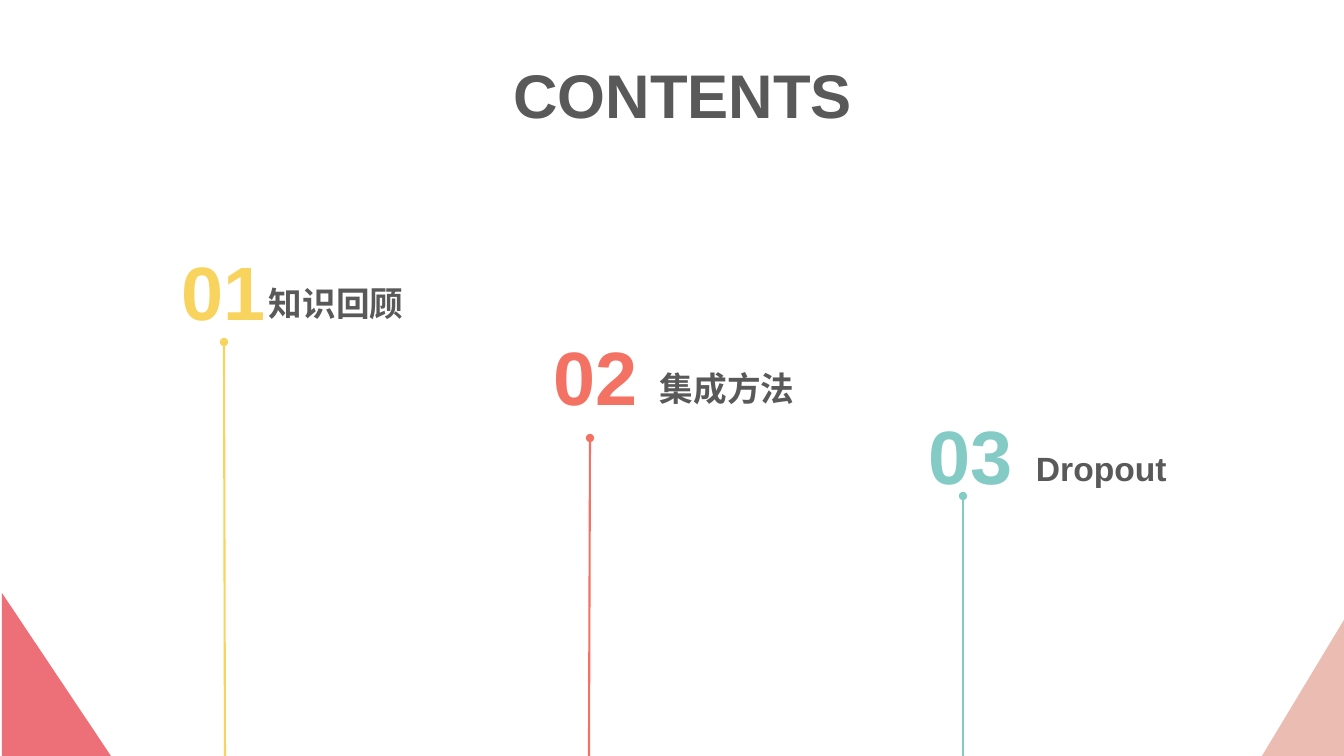
from dataclasses import dataclass

from lxml.etree import SubElement
from pptx import Presentation
from pptx.dml.color import RGBColor
from pptx.enum.shapes import MSO_CONNECTOR, MSO_SHAPE
from pptx.enum.text import MSO_ANCHOR, MSO_AUTO_SIZE, PP_ALIGN
from pptx.oxml.ns import qn
from pptx.util import Emu, Pt

SCALE = 12192000 / 1344  # EMU per px


@dataclass(frozen=True)
class Theme:
    text: str = "595959"
    yellow: str = "F8D35E"
    coral: str = "F47264"
    teal: str = "84CBC5"
    rose: str = "ED6F77"
    blush: str = "EABCB2"
    latin: str = "Arial"
    cjk: str = "Noto Sans CJK SC"
    title: int = 44
    number: int = 54
    label: int = 24
    line: float = 1.5


THEME = Theme()


def px(*values):
    return [Emu(round(value * SCALE)) for value in values]


def color(code):
    return RGBColor.from_string(code)


def style(frame, size, code, font, align):
    """Format the single paragraph of a text frame."""
    frame.auto_size = MSO_AUTO_SIZE.SHAPE_TO_FIT_TEXT
    para = frame.paragraphs[0]
    para.alignment = align
    face = para.runs[0].font
    face.size, face.bold, face.name = Pt(size), True, font
    face.color.rgb = color(code)
    east = SubElement(para.runs[0]._r.get_or_add_rPr(), qn("a:ea"))
    east.set("typeface", THEME.cjk)


def display(shape, text, size, code):
    """Large centred text without margins or wrapping."""
    frame = shape.text_frame
    frame.text = text
    frame.word_wrap = False
    frame.vertical_anchor = MSO_ANCHOR.MIDDLE
    frame.margin_left = frame.margin_right = 0
    frame.margin_top = frame.margin_bottom = 0
    style(frame, size, code, THEME.latin, PP_ALIGN.CENTER)
    frame.paragraphs[0].space_before = Pt(size * 0.1)


def add_title(slide, text, box):
    title = slide.shapes.title
    title.left, title.top, title.width, title.height = px(*box)
    display(title, text, THEME.title, THEME.text)


def add_number(slide, text, box, code):
    display(slide.shapes.add_textbox(*px(*box)), text, THEME.number, code)


def add_label(slide, text, box, font):
    frame = slide.shapes.add_textbox(*px(*box)).text_frame
    frame.text = text
    frame.word_wrap = True
    style(frame, THEME.label, THEME.text, font, PP_ALIGN.JUSTIFY)


def add_stem(slide, start, end, code):
    """Line with a round head that runs down to the slide's edge."""
    stem = slide.shapes.add_connector(
        MSO_CONNECTOR.STRAIGHT, *px(*start, *end))
    stem.line.width = Pt(THEME.line)
    stem.line.color.rgb = color(code)
    head = SubElement(stem.line._get_or_add_ln(), qn("a:headEnd"))
    head.set("type", "oval")
    SubElement(stem._element.spPr, qn("a:effectLst"))


def add_corner(slide, box, code, flip=False):
    corner = slide.shapes.add_shape(MSO_SHAPE.RIGHT_TRIANGLE, *px(*box))
    corner.shadow.inherit = False
    corner.fill.solid()
    corner.fill.fore_color.rgb = color(code)
    corner.line.fill.background()
    if flip:
        corner._element.spPr.xfrm.set("flipH", "1")


def main():
    deck = Presentation()
    deck.slide_width, deck.slide_height = px(1344, 756)
    slide = deck.slides.add_slide(deck.slide_layouts[5])

    # Corner triangles
    add_corner(slide, (2, 593, 109, 163), THEME.rose)
    add_corner(slide, (1262, 620, 82, 136), THEME.blush, flip=True)

    # Heading
    add_title(slide, "CONTENTS", (512, 56, 342, 75))

    # Chapters: number, label, font, colour, number box, label box, stem
    chapters = [
        ("01", "知识回顾", THEME.cjk, THEME.yellow,
         (181, 244, 85, 92), (259, 278, 168, 50), (224, 342), (225, 756)),
        ("02", "集成方法", THEME.cjk, THEME.coral,
         (542, 329, 108, 92), (650, 363, 171, 50), (590, 438), (589, 756)),
        ("03", "Dropout", THEME.latin, THEME.teal,
         (916, 408, 110, 92), (1026, 443, 171, 50), (963, 496), (963, 756)),
    ]
    for number, label, font, code, spot, place, start, end in chapters:
        add_number(slide, number, spot, code)
        add_label(slide, label, place, font)
        add_stem(slide, start, end, code)

    deck.save("out.pptx")


if __name__ == "__main__":
    main()
